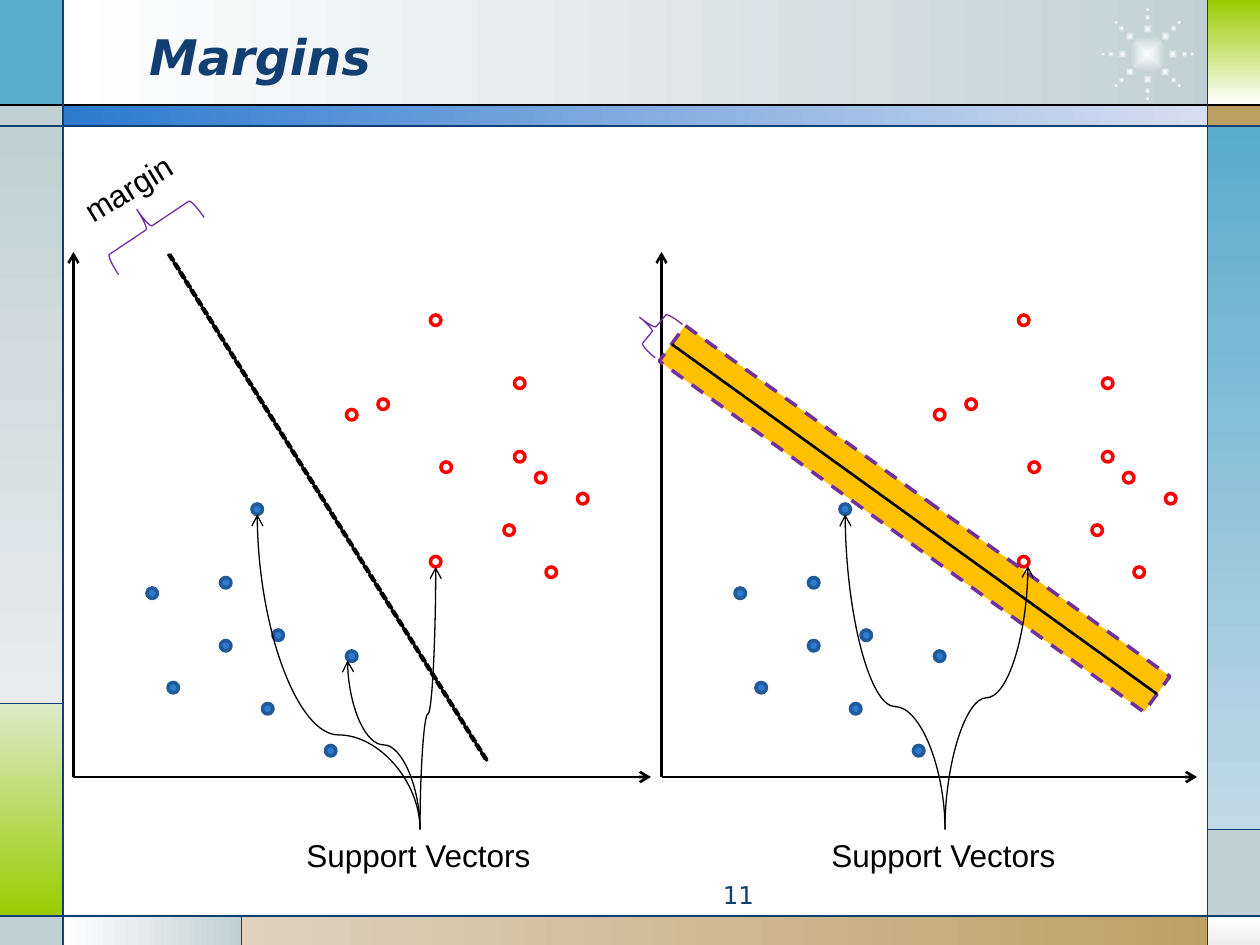
from math import cos, radians, sin

from lxml.etree import SubElement
from pptx import Presentation
from pptx.dml.color import RGBColor
from pptx.enum.dml import MSO_LINE
from pptx.enum.shapes import MSO_CONNECTOR, MSO_SHAPE
from pptx.enum.text import MSO_ANCHOR, PP_ALIGN
from pptx.oxml.ns import qn
from pptx.util import Cm, Pt

WHITE = RGBColor(0xFF, 0xFF, 0xFF)
BLACK = RGBColor(0x00, 0x00, 0x00)
NAVY = RGBColor(0x11, 0x3F, 0x71)
SKY = RGBColor(0x5A, 0xAB, 0xCC)
PALE_SKY = RGBColor(0xC2, 0xD9, 0xE7)
GREY = RGBColor(0xC1, 0xD1, 0xD3)
PALE_GREY = RGBColor(0xE7, 0xED, 0xEE)
SILVER = RGBColor(0xED, 0xED, 0xED)
GREEN = RGBColor(0x99, 0xCC, 0x00)
PALE_GREEN = RGBColor(0xDB, 0xEB, 0xC9)
TAN = RGBColor(0xBD, 0x9E, 0x61)
PALE_TAN = RGBColor(0xDE, 0xD1, 0xBF)
BLUE = RGBColor(0x2D, 0x7A, 0xCF)
PALE_BLUE = RGBColor(0xD7, 0xDE, 0xF0)
DARK_BLUE = RGBColor(0x21, 0x5A, 0x99)
RED = RGBColor(0xFF, 0x00, 0x00)
PURPLE = RGBColor(0x70, 0x30, 0xA0)
AMBER = RGBColor(0xFF, 0xC0, 0x00)

ACROSS, DOWN = 0, 270

# left, top, width, height, then one colour or two colours and a direction
PANELS = [
    (6, 0, 111.2, 10, WHITE, GREY, ACROSS),
    (0, 0, 6, 10, SKY),
    (0, 10, 6, 2, GREY),
    (0, 12, 6, 55, PALE_GREY, GREY, 90),
    (0, 67, 6, 20.3, PALE_GREEN, GREEN, DOWN),
    (0, 87.3, 6, 2.7, GREY),
    (6, 87.3, 17, 2.7, WHITE, GREY, ACROSS),
    (23, 87.3, 97, 2.7, PALE_TAN, TAN, ACROSS),
    (115, 87.3, 5, 2.7, WHITE, SILVER, DOWN),
    (115, 79, 5, 8.3, GREY),
    (115, 12, 5, 67, SKY, PALE_SKY, DOWN),
    (115, 10, 5, 2, TAN),
    (115, 0, 5, 10, GREEN, WHITE, DOWN),
    (6, 10, 109, 2, BLUE, PALE_BLUE, ACROSS),
]
RULES = [
    (0, 12, 120, 12), (0, 87.25, 120, 87.25), (6, 0, 6, 90), (115, 0, 115, 90),
    (6, 67, 0, 67), (23, 87.25, 23, 90), (115, 79, 120, 79),
]
BLUE_POINTS = [(14, 56), (21, 55), (21, 61), (33, 62), (26, 60), (25, 67),
               (24, 48), (31, 71), (16, 65)]
RED_POINTS = [(36, 38), (49, 43), (41, 30), (42, 44), (41, 53), (33, 39),
              (48, 50), (49, 36), (52, 54), (55, 47), (51, 45)]


def u(n):
    """Length of n grid units; the slide is 120 by 90 units."""
    return Cm(n * 25.4 / 120)


class Board:
    def __init__(self, s, font="Arial", size=18, color=BLACK):
        self.s, self.font, self.size, self.color = s, font, size, color

    def shape(self, kind, x, y, w, h, fill=None, line=None, width=0.75, rot=0):
        sp = self.s.shapes.add_shape(kind, u(x), u(y), u(w), u(h))
        sp.shadow.inherit = False
        sp.rotation = rot
        if fill is None:
            sp.fill.background()
        else:
            sp.fill.solid()
            sp.fill.fore_color.rgb = fill
        if line is None:
            sp.line.fill.background()
        else:
            sp.line.color.rgb = line
            sp.line.width = Pt(width)
        return sp

    def gradient(self, sp, start, end, angle=0):
        sp.fill.gradient()
        sp.fill.gradient_angle = angle
        for stop, color in zip(sp.fill.gradient_stops, (start, end)):
            stop.color.rgb = color

    def panel(self, x, y, w, h, color, end=None, angle=0):
        sp = self.shape(MSO_SHAPE.RECTANGLE, x, y, w, h, color)
        if end is not None:
            self.gradient(sp, color, end, angle)

    def glow(self, cx, cy, d):
        """Round spot that fades from white at its centre."""
        sp = self.shape(MSO_SHAPE.OVAL, cx - d / 2, cy - d / 2, d, d, WHITE)
        self.gradient(sp, WHITE, GREY)
        grad = sp._element.spPr.find(qn("a:gradFill"))
        grad.remove(grad.find(qn("a:lin")))
        center = SubElement(grad, qn("a:path"), {"path": "shape"})
        SubElement(center, qn("a:fillToRect"), dict.fromkeys("ltrb", "50000"))

    def line(self, x1, y1, x2, y2, color=BLACK, width=1.5, dash=None,
             arrow=False, kind=MSO_CONNECTOR.STRAIGHT):
        c = self.s.shapes.add_connector(kind, u(x1), u(y1), u(x2), u(y2))
        c.line.color.rgb = color
        c.line.width = Pt(width)
        if dash is not None:
            c.line.dash_style = dash
        if arrow:
            SubElement(c.line._get_or_add_ln(), qn("a:tailEnd"), type="arrow")
        SubElement(c._element.spPr, qn("a:effectLst"))
        return c

    def rising_curve(self, x1, y1, x2, y2, bend):
        """Curved arrow that leaves and arrives vertically, drawn as a quarter turn."""
        cx, cy = (x1 + x2) / 2, (y1 + y2) / 2
        run, rise = (x2 - x1) / 2, (y1 - y2) / 2
        c = self.line(cx - rise, cy - run, cx + rise, cy + run, width=0.75,
                      arrow=True, kind=MSO_CONNECTOR.CURVE)
        spPr = c._element.spPr
        spPr.find(qn("a:xfrm")).set("rot", str(270 * 60000))
        SubElement(spPr.find(qn("a:prstGeom")).find(qn("a:avLst")), qn("a:gd"),
                   name="adj1", fmla=f"val {round(bend * 100000)}")

    def style(self, p, font=None, size=None, color=None):
        p.font.name = font or self.font
        p.font.size = Pt(size or self.size)
        p.font.color.rgb = color or self.color

    def text(self, text, x, y, w, h, rot=0, align=PP_ALIGN.LEFT, **style):
        sp = self.s.shapes.add_textbox(u(x), u(y), u(w), u(h))
        sp.rotation = rot
        tf = sp.text_frame
        tf.word_wrap = False
        p = tf.paragraphs[0]
        p.text, p.alignment = text, align
        self.style(p, **style)

    def title(self, text, x, y, w, h):
        sp = self.s.shapes.title
        self.s.shapes._spTree.append(sp._element)  # in front of the panels
        sp.left, sp.top, sp.width, sp.height = u(x), u(y), u(w), u(h)
        tf = sp.text_frame
        tf.text, tf.vertical_anchor = text, MSO_ANCHOR.MIDDLE
        p = tf.paragraphs[0]
        p.alignment = PP_ALIGN.LEFT
        p.font.bold = p.font.italic = True
        self.style(p, "DejaVu Sans", 28, NAVY)

    def scatter(self, dx, axis_end):
        """Axes and both classes of points, moved right by dx."""
        self.line(7 + dx, 74, axis_end, 74, arrow=True)
        self.line(7 + dx, 74, 7 + dx, 24, arrow=True)
        for points, fill, line in ((BLUE_POINTS, BLUE, DARK_BLUE),
                                   (RED_POINTS, None, RED)):
            for x, y in points:
                self.shape(MSO_SHAPE.OVAL, x + dx, y, 1, 1, fill, line, 2)

    def support_vectors(self, x, targets):
        self.text("Support Vectors", x - 12, 79, 24, 4.8)
        for tx, ty, bend in targets:
            self.rising_curve(x, 79, tx, ty, bend)

    def brace(self, x, y, w, h, rot):
        self.shape(MSO_SHAPE.LEFT_BRACE, x, y, w, h, line=PURPLE, rot=rot)


def draw_background(b):
    for panel in PANELS:
        b.panel(*panel)
    b.glow(109.3, 5.15, 3.6)
    for ray in range(8):
        angle = radians(45 * ray)
        for radius, d in ((2.4, 0.9), (3.5, 0.6), (4.25, 0.42)):
            b.glow(109.3 + radius * cos(angle), 5.15 + radius * sin(angle), d)
    b.line(0, 10, 120, 10, width=0.75)
    for rule in RULES:
        b.line(*rule, color=NAVY, width=0.75)


def main():
    prs = Presentation()
    prs.slide_width, prs.slide_height = u(120), u(90)
    b = Board(prs.slides.add_slide(prs.slide_layouts[5]))

    draw_background(b)
    b.title("Margins", 13, 1.6, 88, 7.4)
    b.text("11", 45, 83.2, 28, 3.2, align=PP_ALIGN.RIGHT,
           font="DejaVu Sans", size=14, color=NAVY)

    b.scatter(0, 62)
    b.line(16.1, 24.2, 46.4, 72.5)
    b.brace(12.1, 16.8, 4.2, 9.8, 56.2)
    b.support_vectors(40, [(33.1, 62.9, 0.5), (24.5, 49, 0.3), (41.5, 54, 0.44)])

    b.scatter(56, 114)
    band = b.shape(MSO_SHAPE.RECTANGLE, 58.6, 47.3, 57, 4.2, AMBER, PURPLE, 2, 215.9)
    band.line.dash_style = MSO_LINE.DASH
    b.line(64, 32.8, 110.2, 66.1)
    b.brace(60.5, 29.3, 3.6, 4.1, 39.3)
    b.support_vectors(90, [(80.5, 49, 0.39), (97.9, 53.9, 0.5)])

    b.text("margin", 6.4, 15.5, 11.6, 4.8, rot=328.4)
    for shift in (0.1, -0.1):
        b.line(16.1 + shift, 24.2, 46.4 + shift, 72.5, dash=MSO_LINE.SQUARE_DOT)

    prs.save("out.pptx")


if __name__ == "__main__":
    main()
